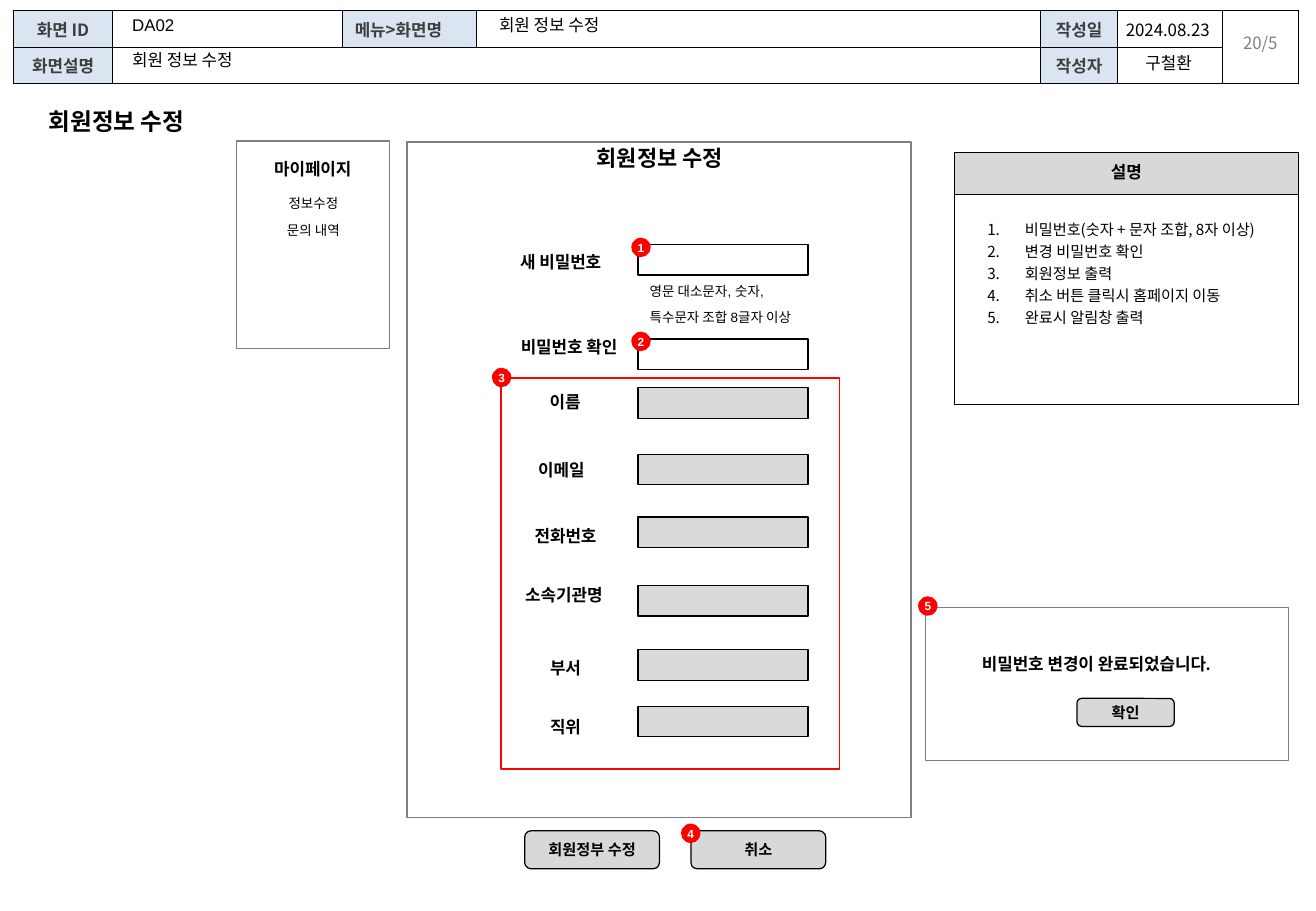
from lxml import etree
from pptx import Presentation
from pptx import util as u
from pptx.dml.color import RGBColor
from pptx.enum import shapes, text
from pptx.oxml import ns

BLACK = RGBColor(0x00, 0x00, 0x00)
WHITE = RGBColor(0xFF, 0xFF, 0xFF)
RED = RGBColor(0xFF, 0x00, 0x00)
GREY = RGBColor(0x7F, 0x7F, 0x7F)
DARK = RGBColor(0x3F, 0x3F, 0x3F)
FIELD = RGBColor(0xD9, 0xD9, 0xD9)
BUTTON = RGBColor(0xD8, 0xD8, 0xD8)
BLUE = RGBColor(0xDA, 0xE5, 0xF1)

NOTO, ARIAL = "Noto Sans CJK KR", "Arial"
LEFT, CENTER = text.PP_ALIGN.LEFT, text.PP_ALIGN.CENTER
TOP, MIDDLE = text.MSO_ANCHOR.TOP, text.MSO_ANCHOR.MIDDLE
RECT = shapes.MSO_SHAPE.RECTANGLE
ROUND = shapes.MSO_SHAPE.ROUNDED_RECTANGLE
OVAL = shapes.MSO_SHAPE.OVAL


class Wireframe:
    """Draws elements on one page; all lengths are points."""

    def __init__(self, page):
        self.page = page

    def add_span(self, para, words, size, font=ARIAL, color=BLACK, bold=False, align=LEFT):
        para.alignment = align
        span = para.add_run()
        span.text = words
        span.font.size = u.Pt(size)
        span.font.name = font
        span.font.bold = bold
        span.font.color.rgb = color
        east = etree.SubElement(span._r.get_or_add_rPr(), ns.qn("a:ea"))
        east.set("typeface", NOTO)

    def frame(self, holder, insets, anchor):
        holder.margin_left = holder.margin_right = u.Pt(insets[0])
        holder.margin_top = holder.margin_bottom = u.Pt(insets[1])
        holder.vertical_anchor = anchor

    def label(self, x, y, w, h, words, size=10, insets=(7.2, 3.6), anchor=TOP,
              spacing=None, **style):
        box = self.page.shapes.add_textbox(*map(u.Pt, (x, y, w, h)))
        box.text_frame.word_wrap = True
        self.frame(box.text_frame, insets, anchor)
        para = box.text_frame.paragraphs[0]
        if spacing:
            para.line_spacing = u.Pt(spacing)
        self.add_span(para, words, size, **style)

    def shape(self, kind, x, y, w, h, fill=None, line=BLACK, weight=0.75):
        shape = self.page.shapes.add_shape(kind, *map(u.Pt, (x, y, w, h)))
        shape.shadow.inherit = False
        if fill is None:
            shape.fill.background()
        else:
            shape.fill.solid()
            shape.fill.fore_color.rgb = fill
        if line is None:
            shape.line.fill.background()
        else:
            shape.line.color.rgb = line
            shape.line.width = u.Pt(weight)
        return shape

    def button(self, x, y, w, h, words):
        shape = self.shape(ROUND, x, y, w, h, BUTTON)
        self.frame(shape.text_frame, (7.2, 3.6), MIDDLE)
        self.add_span(shape.text_frame.paragraphs[0], words, 9, NOTO, bold=True, align=CENTER)

    def marker(self, x, y, number):
        shape = self.shape(OVAL, x, y, 11.5, 11.5, RED, None)
        self.frame(shape.text_frame, (0, 0), MIDDLE)
        shape.text_frame.word_wrap = False
        self.add_span(shape.text_frame.paragraphs[0], str(number), 7,
                      color=WHITE, bold=True, align=CENTER)

    def table(self, x, y, widths, heights):
        holder = self.page.shapes.add_table(
            len(heights), len(widths), *map(u.Pt, (x, y, sum(widths), sum(heights))))
        table = holder.table
        table.first_row = table.horz_banding = False
        for column, width in zip(table.columns, widths):
            column.width = u.Pt(width)
        for row, height in zip(table.rows, heights):
            row.height = u.Pt(height)
        for cell in table.iter_cells():
            self.border(cell)
            cell.fill.solid()
            cell.fill.fore_color.rgb = WHITE
            end = etree.SubElement(cell.text_frame.paragraphs[0]._p, ns.qn("a:endParaRPr"))
            end.set("sz", "900")
        return table

    def border(self, cell):
        for side in ("lnL", "lnR", "lnT", "lnB"):
            line = etree.SubElement(cell._tc.get_or_add_tcPr(), ns.qn(f"a:{side}"))
            line.set("w", str(u.Pt(0.75)))
            fill = etree.SubElement(line, ns.qn("a:solidFill"))
            etree.SubElement(fill, ns.qn("a:srgbClr")).set("val", str(BLACK))

    def heading(self, cell, words, fill, color, align=CENTER, anchor=MIDDLE, inset=3):
        cell.fill.fore_color.rgb = fill
        self.frame(cell, (7.2, inset), anchor)
        self.add_span(cell.text_frame.paragraphs[0], words, 10, NOTO, color, True, align)

    def numbered(self, cell, items):
        self.frame(cell, (5.76, 14), TOP)
        cell.margin_right = u.Pt(2)
        for index, item in enumerate(items):
            para = cell.text_frame.paragraphs[0] if index == 0 else cell.text_frame.add_paragraph()
            props = para._p.get_or_add_pPr()
            props.set("marL", str(u.Pt(36)))
            props.set("indent", str(u.Pt(-22.3)))
            etree.SubElement(props, ns.qn("a:buFont")).set("typeface", NOTO)
            etree.SubElement(props, ns.qn("a:buAutoNum")).set("type", "arabicPeriod")
            self.add_span(para, item, 9, NOTO)


def main():
    deck = Presentation()
    deck.slide_width, deck.slide_height = u.Pt(780), u.Pt(540)
    draw = Wireframe(deck.slides.add_slide(deck.slide_layouts[6]))

    # Header table
    header = draw.table(7.9, 6.4, (59, 136.2, 79.4, 334.3, 45.6, 62.4, 45), (21.6, 21.6))
    header.cell(0, 6).merge(header.cell(1, 6))
    header.cell(1, 1).merge(header.cell(1, 3))
    for row, column, words, align in (
            (0, 0, "화면 ID", CENTER), (0, 2, "메뉴>화면명", LEFT), (0, 4, "작성일", CENTER),
            (1, 0, "화면설명", CENTER), (1, 4, "작성자", CENTER)):
        draw.heading(header.cell(row, column), words, BLUE, DARK, align)
    draw.label(724.3, 15.8, 45.4, 19.4, "20/5", font=NOTO, color=GREY, align=CENTER)
    draw.label(71.3, 5, 97, 19.4, "DA02")
    draw.label(288.7, 5, 160.6, 19.4, "회원 정보 수정")
    draw.label(71.3, 26, 124.6, 19.4, "회원 정보 수정")
    draw.label(660.2, 8, 67.7, 19.4, "2024.08.23", font=NOTO)
    draw.label(671.8, 27.4, 56.9, 19.4, "구철환", font=NOTO)

    # Page title
    draw.label(28.8, 60.5, 740, 22.3, "회원정보 수정", 14, (0, 3.6), MIDDLE, font=NOTO, bold=True)

    # My page menu
    draw.shape(RECT, 140.4, 83.5, 90.7, 123.1, line=GREY)
    draw.label(134.6, 90.7, 101.5, 19.4, "마이페이지", bold=True, align=CENTER)
    for y, words in ((112.3, "정보수정"), (128.2, "문의 내역")):
        draw.label(148, y, 75.6, 17.3, words, 8, align=CENTER)

    # Form panel
    draw.shape(RECT, 241.2, 84.2, 298.8, 400.3, line=GREY)
    draw.label(337, 82.1, 108, 23, "회원정보 수정", 13, (3.6, 3.6), MIDDLE,
               font=NOTO, bold=True, align=CENTER)
    for label_x, label_y, field_y, fill, words in (
            (291.6, 143.3, 144.9, None, "새 비밀번호"),
            (296.6, 193.7, 201, None, "비밀번호 확인"),
            (294.2, 226.1, 229.9, FIELD, "이름"),
            (292, 266.4, 269.3, FIELD, "이메일"),
            (294.5, 305.3, 306.5, FIELD, "전화번호"),
            (293.5, 340.6, 347, FIELD, "소속기관명"),
            (294.5, 383.8, 385.2, FIELD, "부서"),
            (294.5, 419, 418.6, FIELD, "직위")):
        draw.shape(RECT, 378.2, field_y, 100.8, 18.1, fill)
        draw.label(label_x, label_y, 81.4, 19.4, words, insets=(7.2, 7.2),
                   bold=True, align=CENTER)
    draw.label(378, 162, 108, 34, "영문 대소문자, 숫자, 특수문자 조합 8글자 이상", 8,
               insets=(7.2, 0), spacing=15.4)
    draw.shape(RECT, 296.8, 224, 200.9, 231.8, line=RED, weight=1)

    # Form buttons
    draw.button(311, 492.5, 79.9, 22.5, "회원정부 수정")
    draw.button(409.5, 492.5, 79.9, 22.5, "취소")

    # Description table
    notes = draw.table(565.7, 90.5, (203.9,), (24.8, 124.5))
    draw.heading(notes.cell(0, 0), "설명", BUTTON, BLACK, anchor=TOP, inset=3.6)
    draw.numbered(notes.cell(1, 0), (
        "비밀번호(숫자 + 문자 조합, 8자 이상)", "변경 비밀번호 확인", "회원정보 출력",
        "취소 버튼 클릭시 홈페이지 이동", "완료시 알림창 출력"))

    # Completion alert
    draw.shape(RECT, 548.6, 360, 215.3, 90.7, WHITE, GREY)
    draw.label(574.9, 383.8, 188, 19.4, "비밀번호 변경이 완료되었습니다.", bold=True)
    draw.button(638.4, 414, 57.6, 16.6, "확인")

    # Numbered markers
    for number, (x, y) in enumerate(
            ((374.2, 140.9), (374.2, 196.6), (291.6, 218), (403.7, 488.2), (544.2, 353.5)), 1):
        draw.marker(x, y, number)

    deck.save("out.pptx")


if __name__ == "__main__":
    main()
